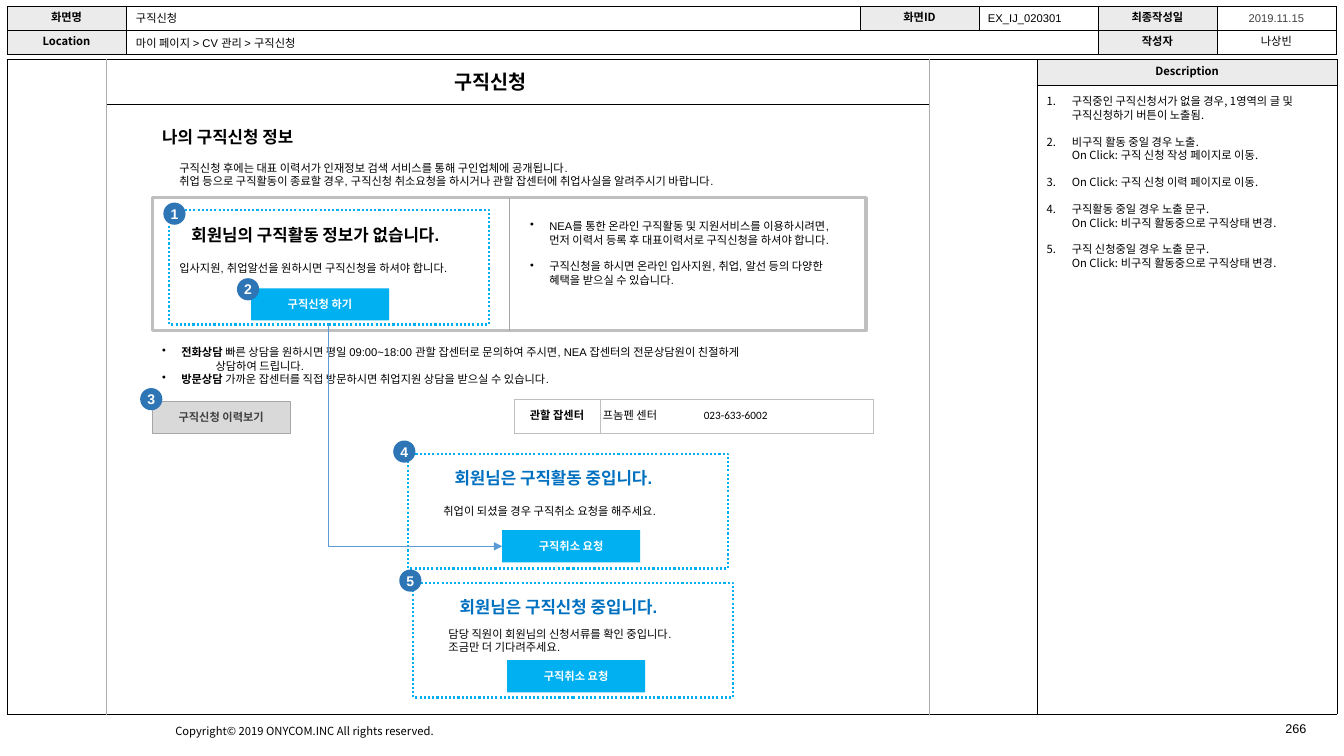
"""Build the job application screen specification slide."""
from lxml.etree import SubElement
from pptx import Presentation
from pptx.dml.color import RGBColor
from pptx.enum.dml import MSO_LINE_DASH_STYLE as Dash
from pptx.enum.shapes import MSO_CONNECTOR as Connector, MSO_SHAPE as Preset
from pptx.enum.text import MSO_ANCHOR as Anchor, MSO_AUTO_SIZE as AutoSize, PP_ALIGN as Align
from pptx.oxml.ns import qn
from pptx.util import Inches, Pt

KOREAN, LATIN = "Noto Sans CJK KR", "Arial"
BLACK, WHITE, SHADE, DARK = "000000", "FFFFFF", "EBEBEB", "404040"
SKY, BLUE, BADGE = "00B0F0", "0070C0", "2E75B6"
CELL = 0.1
BUTTON, PANEL, DOT = (13.7, 3.2), (31.7, 11.4), (2.2, 2.2)

FRAME = dict(at=(0.7, 5.9), columns=[102.2, 29.7], rows=[2.5, 62.4], border=(BLACK, 0.25),
             merges=[(0, 0, 1, 0)], margin=0.4,
             cells={(0, 1): dict(text="Description", bold=True, font=KOREAN, fill=SHADE)})
LABEL = dict(bold=True, font=KOREAN, fill=SHADE)
HEADER = dict(at=(0.7, 0.6), columns=[11.8, 72.8] + [11.8] * 4, rows=[2.4, 2.4],
              border=(BLACK, 0.25), merges=[(1, 1, 1, 3)], margin=0.1,
              cells={(0, 0): dict(text="화면명", **LABEL), (0, 2): dict(text="화면ID", **LABEL),
                     (0, 4): dict(text="최종작성일", **LABEL),
                     (0, 5): dict(text="2019.11.15", color=DARK),
                     (1, 0): dict(text="Location", **LABEL),
                     (1, 4): dict(text="작성자", **LABEL), (1, 5): dict(text="나상빈")})
CENTER = dict(at=(51, 39.6), columns=[8.5, 27.1], rows=[3.4], border=("BFBFBF", 0.5),
              merges=[], margin=0.1,
              cells={(0, 0): dict(text="관할 잡센터", bold=True),
                     (0, 1): dict(text=[dict(runs=[("프놈펜 센터\t", False, LATIN),
                                                   ("023-633-6002", False, "Calibri")], tab=6.4)],
                                  align=Align.LEFT, inset=0.3)})

TITLE = "구직신청"
DESCRIPTION = ["구직중인 구직신청서가 없을 경우, 1영역의 글 및 구직신청하기 버튼이 노출됨.",
               "비구직 활동 중일 경우 노출.\nOn Click: 구직 신청 작성 페이지로 이동.",
               "On Click: 구직 신청 이력 페이지로 이동.",
               "구직활동 중일 경우 노출 문구.\nOn Click: 비구직 활동중으로 구직상태 변경.",
               "구직 신청중일 경우 노출 문구.\nOn Click: 비구직 활동중으로 구직상태 변경."]
BENEFITS = ["NEA를 통한 온라인 구직활동 및 지원서비스를 이용하시려면, 먼저 이력서 등록 후 "
            "대표이력서로 구직신청을 하셔야 합니다.",
            "구직신청을 하시면 온라인 입사지원, 취업, 알선 등의 다양한 혜택을 받으실 수 있습니다."]
ADVICE = [dict(bullet="•", indent=1.9, runs=[
              ("전화상담", True, LATIN),
              (" 빠른 상담을 원하시면 평일 09:00~18:00 관할 잡센터로 문의하여 주시면, "
               "NEA 잡센터의 전문상담원이 친절하게", False, LATIN)]),
          dict(indent=5.3, runs=[("상담하여 드립니다.", False, LATIN)]),
          dict(bullet="•", indent=1.9, runs=[
              ("방문상담 ", True, LATIN),
              ("가까운 잡센터를 직접 방문하시면 취업지원 상담을 받으실 수 있습니다.", False, LATIN)])]
NOTICE = ["구직신청 후에는 대표 이력서가 인재정보 검색 서비스를 통해 구인업체에 공개됩니다.",
          "취업 등으로 구직활동이 종료할 경우, 구직신청 취소요청을 하시거나 관할 잡센터에 "
          "취업사실을 알려주시기 바랍니다."]
TEXTS = [((16.4, 71.4, 40, 2.4), ["Copyright© 2019 ONYCOM.INC All rights reserved."], dict(font=KOREAN)),
         ((126.5, 71, 5.6, 4), ["266"], dict(size=9)),
         ((97, 0.6, 11.9, 2.4), ["EX_IJ_020301"], {}),
         ((12.5, 0.6, 38.1, 2.4), ["구직신청"], {}),
         ((12.5, 3.1, 38.1, 2.4), ["마이 페이지 > CV 관리 > 구직신청"], {}),
         ((15.1, 12.1, 23.1, 2.4), ["나의 구직신청 정보"], dict(size=12, bold=True)),
         ((16.8, 15.5, 69.6, 3.7), NOTICE, {}),
         ((51.6, 21.3, 31.7, 10.4),
          [dict(runs=[(text, False, LATIN)], bullet="•", indent=1.9, gap=9.4 * (index > 0))
           for index, text in enumerate(BENEFITS)], {}),
         ((15.1, 33.8, 66.5, 5), ADVICE, {})]
PANELS = [dict(at=(16.8, 20.8), number="1", badge=(-0.6, -0.7), color=BLACK,
               heading="회원님의 구직활동 정보가 없습니다.", heading_at=(1.2, 1),
               message=["입사지원, 취업알선을 원하시면 구직신청을 하셔야 합니다."], message_at=(0, 4.6),
               button="구직신청 하기", button_at=(8.1, 7.8)),
          dict(at=(40.5, 45), number="4", badge=(-1.5, -1.3), color=BLUE,
               heading="회원님은 구직활동 중입니다.", heading_at=(3.6, 0.9),
               message=["취업이 되셨을 경우 구직취소 요청을 해주세요."], message_at=(2.5, 4.5),
               button="구직취소 요청", button_at=(9.3, 7.6)),
          dict(at=(41, 57.8), number="5", badge=(-1.4, -1.3), color=BLUE,
               heading="회원님은 구직신청 중입니다.", heading_at=(3.6, 0.9),
               message=["담당 직원이 회원님의 신청서류를 확인 중입니다.", "조금만 더 기다려주세요."],
               message_at=(2.5, 3.9), button="구직취소 요청", button_at=(9.3, 7.7))]


def grid(*counts):
    return [Inches(round(count * CELL, 2)) for count in counts]


def shift(origin, offset):
    return origin[0] + offset[0], origin[1] + offset[1]


def rgb(color):
    return RGBColor.from_string(color)


def write(frame, paragraphs, size=8, bold=False, color=BLACK, font=LATIN, align=Align.LEFT):
    for index, item in enumerate(paragraphs):
        item = item if isinstance(item, dict) else dict(runs=[(item, bold, font)])
        paragraph = frame.paragraphs[0] if index == 0 else frame.add_paragraph()
        properties = paragraph._p.get_or_add_pPr()
        indent = grid(item.get("indent", 0))[0]
        bullet = item.get("bullet")
        properties.set("marL", str(indent))
        properties.set("indent", str(-indent if bullet else 0))
        if bullet == "1.":
            SubElement(properties, qn("a:buAutoNum"), type="arabicPeriod")
        elif bullet:
            SubElement(properties, qn("a:buChar"), char=bullet)
        if "tab" in item:
            tabs = SubElement(properties, qn("a:tabLst"))
            SubElement(tabs, qn("a:tab"), pos=str(grid(item["tab"])[0]), algn="l")
        paragraph.alignment = align
        paragraph.line_spacing = Pt(size * 1.2)
        paragraph.space_before = Pt(item.get("gap", 0))
        for text, strong, face in item["runs"]:
            for number, line in enumerate(text.split("\n")):
                if number:
                    paragraph.add_line_break()
                run = paragraph.add_run()
                run.text = line
                run.font.size, run.font.bold, run.font.name = Pt(size), strong, face
                run.font.color.rgb = rgb(color)
                SubElement(run._r.get_or_add_rPr(), qn("a:ea"), typeface=KOREAN)


def add_text(slide, box, paragraphs, **style):
    frame = slide.shapes.add_textbox(*grid(*box)).text_frame
    frame.word_wrap = True
    write(frame, paragraphs, **style)


def add_box(slide, at, extent, text="", fill=None, line=None, preset=Preset.RECTANGLE, **style):
    shape = slide.shapes.add_shape(preset, *grid(*at, *extent))
    shape.shadow.inherit = False
    if fill:
        shape.fill.solid()
        shape.fill.fore_color.rgb = rgb(fill)
    else:
        shape.fill.background()
    if line:
        shape.line.color.rgb, shape.line.width = rgb(line[0]), Pt(line[1])
    else:
        shape.line.fill.background()
    if text:
        frame = shape.text_frame
        frame.margin_left = frame.margin_right = frame.margin_top = frame.margin_bottom = 0
        frame.vertical_anchor = Anchor.MIDDLE
        write(frame, [text], bold=True, align=Align.CENTER, **style)
    return shape


def add_badge(slide, at, number):
    add_box(slide, at, DOT, number, fill=BADGE, preset=Preset.OVAL, size=10, color=WHITE)


def add_line(slide, ends, color, width, kind=Connector.STRAIGHT):
    connector = slide.shapes.add_connector(kind, *grid(*ends))
    connector.line.color.rgb, connector.line.width = rgb(color), Pt(width)
    SubElement(connector._element.spPr, qn("a:effectLst"))
    return connector


def add_grid_table(slide, at, columns, rows, border, merges, margin, cells):
    extent = sum(columns), sum(rows)
    table = slide.shapes.add_table(len(rows), len(columns), *grid(*at, *extent)).table
    for column, width in zip(table.columns, grid(*columns)):
        column.width = width
    for row, height in zip(table.rows, grid(*rows)):
        row.height = height
    for top, left, bottom, right in merges:
        table.cell(top, left).merge(table.cell(bottom, right))
    for place in [(row, column) for row in range(len(rows)) for column in range(len(columns))]:
        cell, style = table.cell(*place), dict(cells.get(place, {}))
        text, inset = style.pop("text", None), style.pop("inset", margin)
        cell.margin_top = cell.margin_bottom = cell.margin_right = grid(margin)[0]
        cell.margin_left = grid(inset)[0]
        cell.vertical_anchor = Anchor.MIDDLE
        for side in ("a:lnL", "a:lnR", "a:lnT", "a:lnB"):
            edge = SubElement(cell._tc.get_or_add_tcPr(), qn(side), w=str(Pt(border[1])))
            SubElement(SubElement(edge, qn("a:solidFill")), qn("a:srgbClr"), val=border[0])
        cell.fill.solid()
        cell.fill.fore_color.rgb = rgb(style.pop("fill", WHITE))
        if text:
            paragraphs = [text] if isinstance(text, str) else text
            write(cell.text_frame, paragraphs, **{"align": Align.CENTER, **style})
        else:
            SubElement(cell.text_frame.paragraphs[0]._p, qn("a:endParaRPr"), sz="800")


def fill_placeholder(shape, box, paragraphs, **style):
    shape.left, shape.top, shape.width, shape.height = grid(*box)
    frame = shape.text_frame
    frame.auto_size, frame.word_wrap, frame.vertical_anchor = AutoSize.NONE, True, Anchor.TOP
    write(frame, paragraphs, **style)
    shape._element.getparent().append(shape._element)
    return frame


def add_panel(slide, panel):
    at = panel["at"]
    outline = add_box(slide, at, PANEL, line=(SKY, 1.5))
    outline.line.dash_style = Dash.ROUND_DOT
    add_text(slide, (*shift(at, panel["heading_at"]), 31, 3.5), [panel["heading"]],
             size=12, bold=True, color=panel["color"])
    add_text(slide, (*shift(at, panel["message_at"]), 31.7, 2.4), panel["message"])
    button = add_box(slide, shift(at, panel["button_at"]), BUTTON, panel["button"], SKY, color=WHITE)
    add_badge(slide, shift(at, panel["badge"]), panel["number"])
    return outline, button


def main():
    presentation = Presentation()
    presentation.slide_width, presentation.slide_height = Inches(13.33), Inches(7.5)
    slide = presentation.slides.add_slide(presentation.slide_layouts[1])
    for table in (FRAME, HEADER):
        add_grid_table(slide, **table)
    add_line(slide, (10.5, 10.3, 92.2, 10.3), BLACK, 0.25)
    for x in (10.5, 92.2):
        add_line(slide, (x, 5.9, x, 70.9), "AFABAB", 0.5)
    fill_placeholder(slide.shapes.title, (44.1, 6.4, 17.6, 3.4), [TITLE], size=14, bold=True)
    steps = [dict(runs=[(text, False, KOREAN)], bullet="1.", indent=2.5, gap=9.6 * (index > 0))
             for index, text in enumerate(DESCRIPTION)]
    frame = fill_placeholder(slide.placeholders[1], (103, 9, 30.3, 18.3), steps)
    frame.margin_left, frame.margin_top, frame.margin_right, frame.margin_bottom = grid(0.8, 0.4, 0.4, 0.4)

    summary = add_box(slide, (15.1, 19.6), (70.8, 13.2), fill=WHITE, line=("BFBFBF", 2.25))
    divider = add_line(slide, (50.5, 19.6, 50.5, 32.8), "A6A6A6", 0.5)
    divider.begin_connect(summary, 0)
    divider.end_connect(summary, 2)
    for box, paragraphs, style in TEXTS:
        add_text(slide, box, paragraphs, **style)
    add_box(slide, (15.1, 39.8), BUTTON, "구직신청 이력보기", "D9D9D9", ("A6A6A6", 0.5), color=DARK)
    add_grid_table(slide, **CENTER)
    panels = [add_panel(slide, panel) for panel in PANELS]
    add_badge(slide, (23.5, 27.6), "2")
    add_badge(slide, (13.9, 38.5), "3")

    flow = add_line(slide, (32.6, 32.2, 49.8, 54.2), "5B9BD5", 0.5, Connector.ELBOW)
    flow.begin_connect(panels[0][0], 2)
    flow.end_connect(panels[1][1], 1)
    flow.left, flow.top, flow.width, flow.height = grid(30.2, 34.6, 22, 17.2)
    properties = flow._element.spPr
    properties.find(qn("a:prstGeom")).set("prst", "bentConnector2")
    properties.find(qn("a:xfrm")).set("rot", "16200000")
    properties.find(qn("a:xfrm")).set("flipH", "1")
    SubElement(properties.find(qn("a:ln")), qn("a:tailEnd"), type="triangle")
    presentation.save("out.pptx")


if __name__ == "__main__":
    main()
